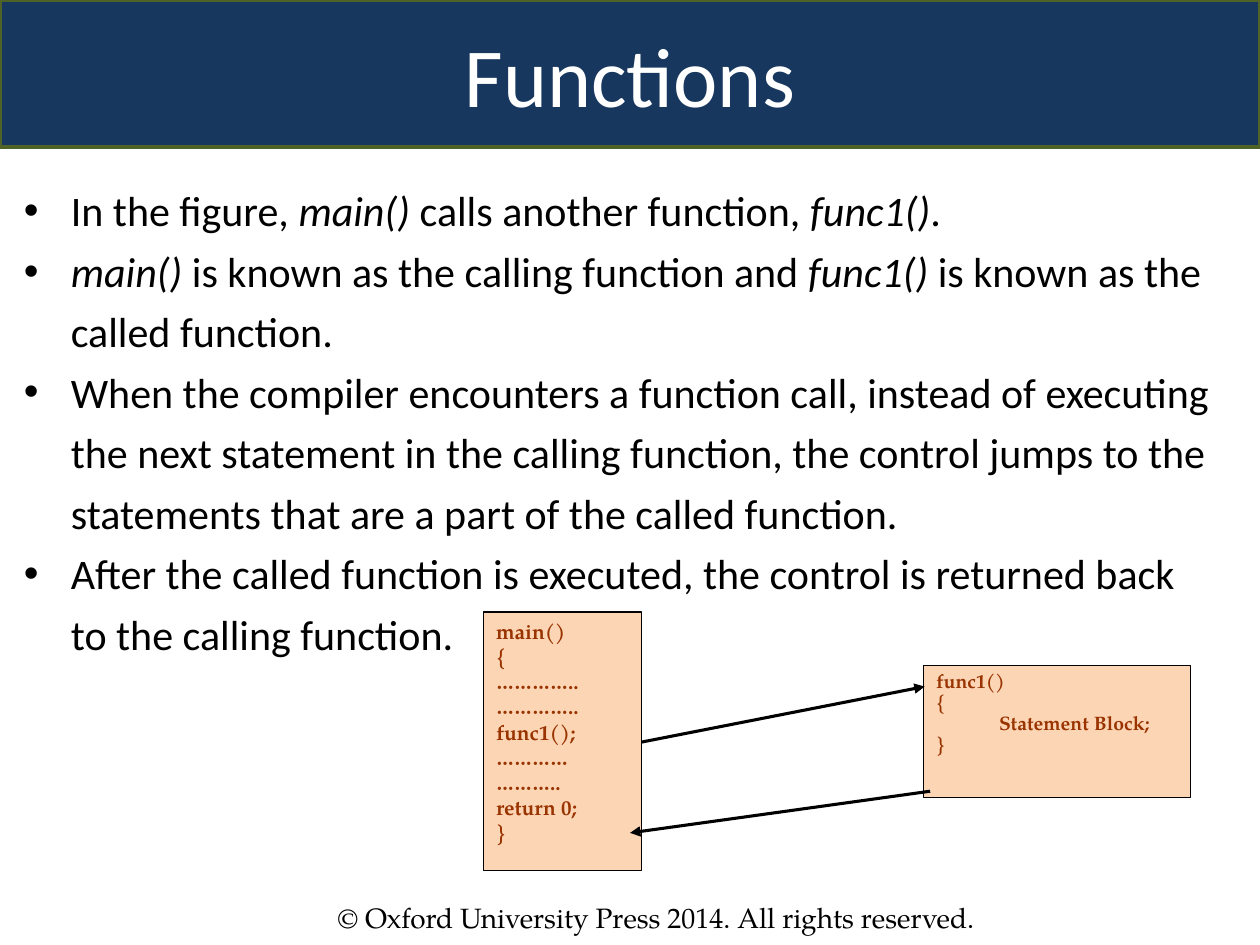
from lxml.etree import SubElement
from pptx import Presentation
from pptx.dml.color import RGBColor as Rgb
from pptx.enum.shapes import MSO_CONNECTOR as Link, MSO_SHAPE as Kind
from pptx.enum.text import MSO_ANCHOR as Anchor, PP_ALIGN as Align
from pptx.oxml.ns import qn
from pptx.util import Cm, Pt

HUES = {
    "navy": "17375E",
    "olive": "4F6228",
    "peach": "FCD5B5",
    "rust": "993300",
    "black": "000000",
    "white": "FFFFFF",
}
SANS = "Calibri"
SERIF = "TeX Gyre Pagella"

POINTS = [
    "In the figure, *main()* calls another function, *func1()*.",
    "*main()* is known as the calling function and *func1()* is known as the called function.",
    "When the compiler encounters a function call, instead of executing the next statement "
    "in the calling function, the control jumps to the statements that are a part of the "
    "called function.",
    "After the called function is executed, the control is returned back to the calling function.",
]
MAIN = [
    "main()", "{", "…………..", "…………..", "func1();",
    "…………", "………..", "return 0;", "}",
]
FUNC = ["func1()", "{", "\tStatement Block;", "}"]


class Deck:
    def __init__(self, wide, high):
        self.prs = Presentation()
        self.prs.slide_width = Cm(wide)
        self.prs.slide_height = Cm(high)
        self.slide = self.prs.slides.add_slide(self.prs.slide_layouts[6])

    def hue(self, name):
        return Rgb.from_string(HUES[name])

    def fill_text(self, frame, lines, size, face, hue, bold=False,
                  align=Align.LEFT, space=None, mark=False):
        frame.word_wrap = True
        for n, line in enumerate(lines):
            para = frame.paragraphs[0] if n == 0 else frame.add_paragraph()
            if mark:
                self.bullet(para)
            para.alignment = align
            para.line_spacing = space
            font = para.font
            font.name, font.size, font.bold = face, Pt(size), bold
            font.color.rgb = self.hue(hue)
            for k, part in enumerate(line.split("*")):
                if part:
                    run = para.add_run()
                    run.text = part
                    if k % 2:
                        run.font.italic = True

    def bullet(self, para):
        props = para._p.get_or_add_pPr()
        props.set("marL", str(Cm(0.95)))
        props.set("indent", str(Cm(-0.95)))
        tint = SubElement(props, qn("a:buClr"))
        SubElement(tint, qn("a:srgbClr"), val=HUES["black"])
        SubElement(props, qn("a:buFont"), typeface="Arial")
        SubElement(props, qn("a:buChar"), char="•")

    def text(self, x, y, w, h, lines, *style, **more):
        box = self.slide.shapes.add_textbox(Cm(x), Cm(y), Cm(w), Cm(h))
        self.fill_text(box.text_frame, lines, *style, **more)

    def panel(self, x, y, w, h, fill, edge, width, lines, *style,
              anchor=Anchor.TOP, **more):
        box = self.slide.shapes.add_shape(Kind.RECTANGLE, Cm(x), Cm(y), Cm(w), Cm(h))
        box.shadow.inherit = False
        box.fill.solid()
        box.fill.fore_color.rgb = self.hue(fill)
        box.line.color.rgb = self.hue(edge)
        box.line.width = Pt(width)
        box.text_frame.vertical_anchor = anchor
        self.fill_text(box.text_frame, lines, *style, **more)

    def arrow(self, x1, y1, x2, y2):
        link = self.slide.shapes.add_connector(
            Link.STRAIGHT, Cm(x1), Cm(y1), Cm(x2), Cm(y2))
        link.line.color.rgb = self.hue("black")
        link.line.width = Pt(1.75)
        props = link._element.spPr
        SubElement(props.find(qn("a:ln")), qn("a:tailEnd"), type="triangle")
        SubElement(props, qn("a:effectLst"))

    def save(self):
        self.prs.save("out.pptx")


def main():
    deck = Deck(25.4, 19.05)
    deck.text(6.55, 18.03, 15.04, 0.94,
              ["© Oxford University Press 2014. All rights reserved."],
              16, SERIF, "black")
    deck.panel(0, 0, 25.4, 2.97, "navy", "olive", 2, ["Functions"],
               48, SANS, "white", align=Align.CENTER, anchor=Anchor.MIDDLE)
    code = ("peach", "black", 0.75)
    deck.panel(9.75, 12.34, 3.18, 5.21, *code, MAIN, 12, SERIF, "rust", bold=True)
    deck.panel(18.62, 13.41, 5.38, 2.67, *code, FUNC, 11.1, SERIF, "rust",
               bold=True, space=0.9)
    deck.arrow(12.93, 14.96, 18.64, 13.84)
    deck.arrow(18.75, 15.95, 12.7, 16.79)
    deck.text(0.23, 3.4, 24.54, 10.01, POINTS, 24, SANS, "black",
              space=1.2, mark=True)
    deck.save()


if __name__ == "__main__":
    main()
